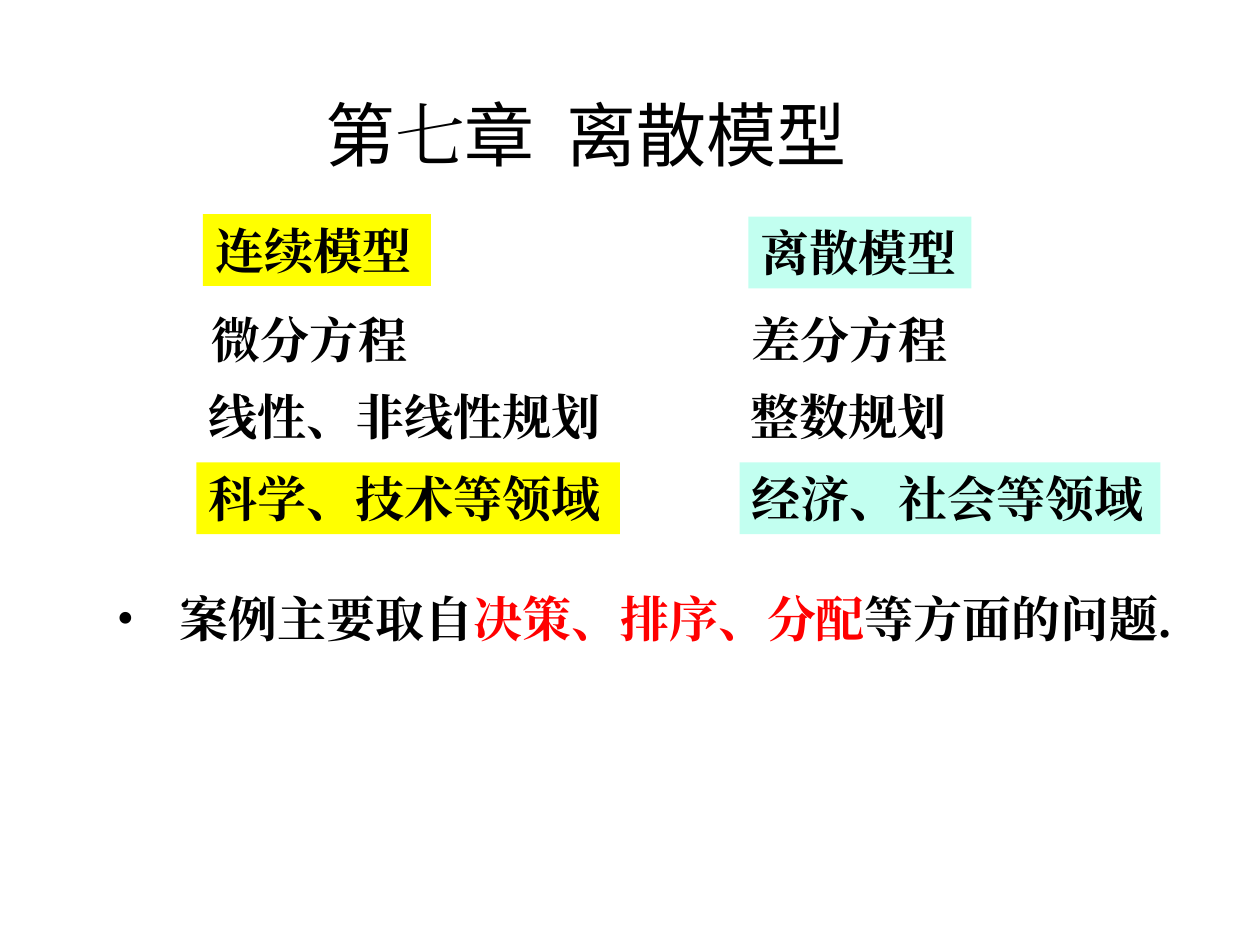
"""Build the chapter-opening slide that contrasts continuous and discrete models."""
from lxml import etree
from pptx import Presentation
from pptx import util as u
from pptx.dml.color import RGBColor
from pptx.enum import shapes, text
from pptx.oxml.ns import qn

THEME = {
    "ink": "000000", "accent": "FF0000", "continuous": "FFFF00", "discrete": "C2FFF0",
    "title_font": "Noto Sans CJK SC", "body_font": "Times New Roman",
    "title_size": 40, "body_size": 28,
}
TITLE = [("第", "title_font"), ("七", "body_font"), ("章  离散模型", "title_font")]
TITLE_BOX = (2.48, 0.68, 4.84, 0.77)
ROW_TOPS = (2.41, 3.02, 3.67)
ROW_HEIGHT = 0.57
COLUMNS = [
    {"fill": "continuous", "heading": ("连续模型", 1.61, 1.7, 1.81),
     "rows": [("微分方程", 1.58, 1.77), ("线性、非线性规划", 1.56, 3.36),
              ("科学、技术等领域", 1.56, 3.36)]},
    {"fill": "discrete", "heading": ("离散模型", 5.94, 1.72, 1.77),
     "rows": [("差分方程", 5.87, 1.77), ("整数规划", 5.86, 1.77),
              ("经济、社会等领域", 5.87, 3.34)]},
]
CASES = [("案例主要取自", "ink"), ("决策、排序、分配", "accent"), ("等方面的问题.", "ink")]
CASES_BOX = (0.83, 4.62, 8.64, 0.57)


def add_run(p, words, font="body_font", size="body_size", color="ink", bold=True):
    r = p.add_run()
    r.text = words
    r.font.size = u.Pt(THEME[size])
    r.font.bold = bold
    r.font.name = THEME[font]
    r.font.color.rgb = RGBColor.from_string(THEME[color])
    etree.SubElement(r.font._element, qn("a:ea"), typeface=THEME[font])


def set_frame(sp, wrap):
    tf = sp.text_frame
    tf.word_wrap = wrap
    tf.auto_size = text.MSO_AUTO_SIZE.SHAPE_TO_FIT_TEXT
    tf.vertical_anchor = text.MSO_ANCHOR.TOP
    p = tf.paragraphs[0]
    p.alignment = text.PP_ALIGN.LEFT
    return p


def add_label(s, words, box, fill=None, wrap=False):
    box = [u.Inches(v) for v in box]
    if fill:
        sp = s.shapes.add_shape(shapes.MSO_SHAPE.RECTANGLE, *box)
        sp.shadow.inherit = False
        sp.fill.solid()
        sp.fill.fore_color.rgb = RGBColor.from_string(THEME[fill])
        sp.line.fill.background()
    else:
        sp = s.shapes.add_textbox(*box)
    add_run(set_frame(sp, wrap), words)


def add_title(s):
    sp = s.shapes.title
    sp.left, sp.top, sp.width, sp.height = [u.Inches(v) for v in TITLE_BOX]
    p = set_frame(sp, True)
    for words, font in TITLE:
        add_run(p, words, font, "title_size", bold=False)


def add_cases(s):
    p = set_frame(s.shapes.add_textbox(*[u.Inches(v) for v in CASES_BOX]), True)
    pPr = p._p.get_or_add_pPr()
    pPr.set("marL", str(u.Inches(0.5)))
    pPr.set("indent", str(u.Inches(-0.5)))
    etree.SubElement(pPr, qn("a:buFont"), typeface="Times New Roman")
    etree.SubElement(pPr, qn("a:buChar"), char="•")
    for words, color in CASES:
        add_run(p, words, color=color)


def main():
    prs = Presentation()
    prs.slide_width, prs.slide_height = u.Inches(10), u.Inches(7.5)
    s = prs.slides.add_slide(prs.slide_layouts[5])
    add_title(s)
    add_cases(s)
    for column in COLUMNS:
        words, left, top, width = column["heading"]
        add_label(s, words, (left, top, width, ROW_HEIGHT), column["fill"],
                  wrap=column["fill"] == "continuous")
        for (words, left, width), top in zip(column["rows"], ROW_TOPS):
            fill = column["fill"] if top == ROW_TOPS[-1] else None
            add_label(s, words, (left, top, width, ROW_HEIGHT), fill)
    prs.save("out.pptx")


if __name__ == "__main__":
    main()
